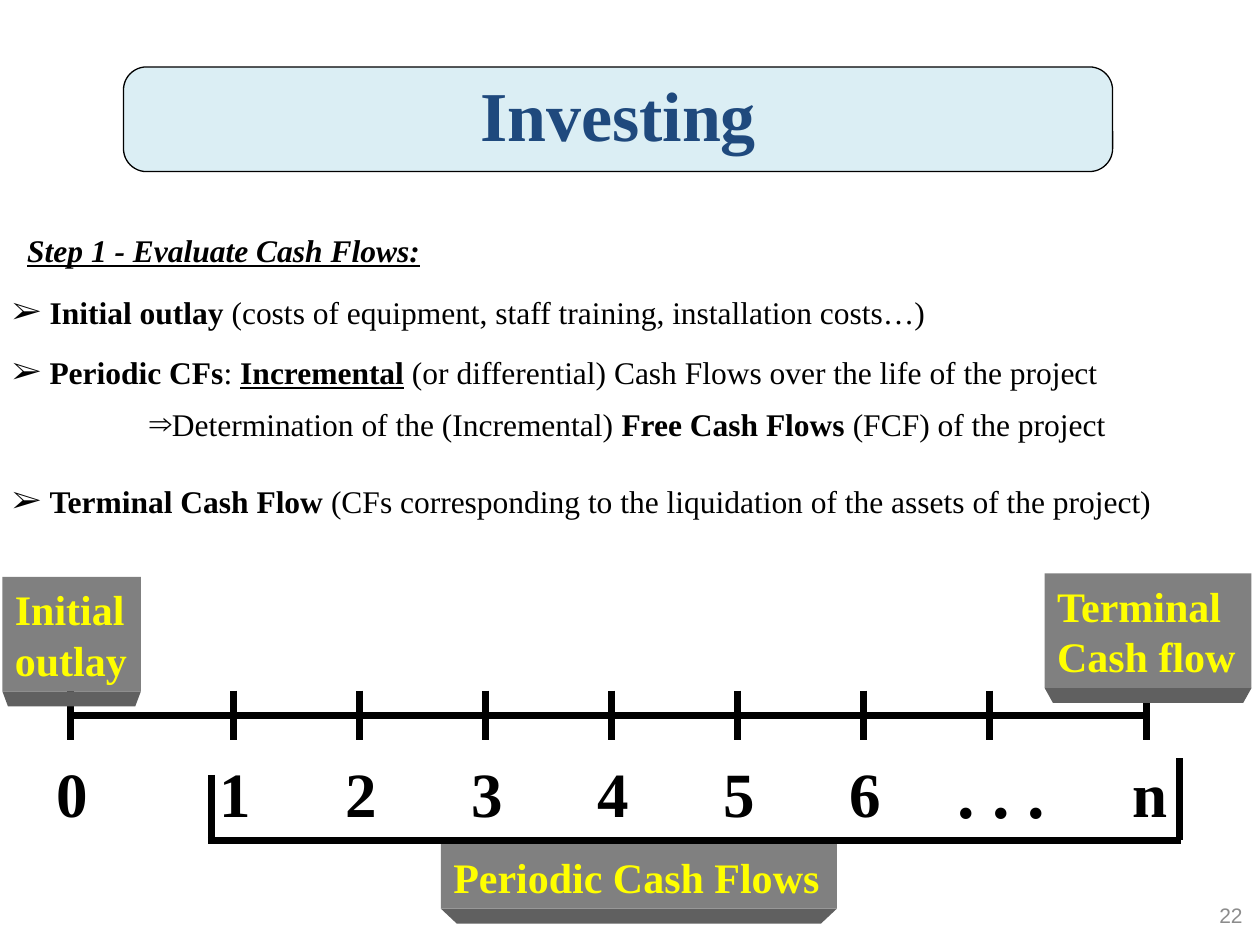
import pptx
import pptx.util
import pptx.dml.color
import pptx.enum.shapes
import pptx.enum.text
import pptx.oxml.ns
import lxml.etree

Cm = pptx.util.Cm
Pt = pptx.util.Pt
Shape = pptx.enum.shapes.MSO_SHAPE
Align = pptx.enum.text.PP_ALIGN
Anchor = pptx.enum.text.MSO_ANCHOR
SERIF = "Times New Roman"


def color(code):
    """Turn a hex string into a colour."""
    return pptx.dml.color.RGBColor.from_string(code)


def child(node, tag, **attrs):
    """Append a drawing element to a node."""
    return lxml.etree.SubElement(node, pptx.oxml.ns.qn(tag), **attrs)


def write(para, text, size, ink="000000", style="", font=SERIF):
    """Add one run; style holds the letters b, i and u."""
    run = para.add_run()
    run.text = text
    face = run.font
    face.name, face.size = font, Pt(size)
    face.color.rgb = color(ink)
    face.bold = "b" in style
    face.italic = "i" in style
    face.underline = "u" in style


def text_box(shapes, box, wrap=True, top=0.13):
    """Add an empty text box and return its frame."""
    frame = shapes.add_textbox(*map(Cm, box)).text_frame
    frame.word_wrap = wrap
    frame.margin_top = Cm(top)
    return frame


def paint(shape, fill, line=None):
    """Set the fill and outline of a shape."""
    shape.shadow.inherit = False
    shape.fill.solid()
    shape.fill.fore_color.rgb = color(fill)
    if line:
        shape.line.color.rgb = color(line)
        shape.line.width = Pt(0.75)
    else:
        shape.line.fill.background()


def stroke(shapes, *ends):
    """Draw a thick black line."""
    kind = pptx.enum.shapes.MSO_CONNECTOR.STRAIGHT
    line = shapes.add_connector(kind, *map(Cm, ends))
    line.line.color.rgb = color("000000")
    line.line.width = Pt(4)
    child(line._element.spPr, "a:effectLst")


def bullet(para, char, hang):
    """Give a paragraph a bullet and a hanging indent in cm."""
    props = para._p.get_or_add_pPr()
    props.set("marL", str(Cm(hang)))
    props.set("indent", str(-Cm(hang)))
    child(props, "a:buFont", typeface=SERIF)
    child(props, "a:buChar", char=char)


def title(slide, box):
    """Draw the rounded title banner."""
    shape = slide.shapes.add_shape(Shape.ROUNDED_RECTANGLE, *map(Cm, box))
    shape.adjustments[0] = 0.22
    paint(shape, "DBEEF4", "000000")
    frame = shape.text_frame
    frame.vertical_anchor = Anchor.MIDDLE
    para = frame.paragraphs[0]
    para.alignment, para.line_spacing = Align.CENTER, 0.9
    write(para, "Investing", 40, "1F497D", "b")


def heading(slide, box):
    """Write the step heading."""
    para = text_box(slide.shapes, box).paragraphs[0]
    write(para, "Step 1 - Evaluate Cash Flows:", 18, style="biu")


def points(slide, box):
    """Write the bulleted cash flow types."""
    rows = [
        ("➢", 0, [("Initial outlay ", "b"),
                  ("(costs of equipment, staff training, installation costs…)", "")]),
        ("➢", 13, [("Periodic CFs", "b"), (": ", ""), ("Incremental", "bu"),
                   (" (or differential) Cash Flows over the life of the project", "")]),
        ("⇒", 8, [("Determination of the (Incremental) ", ""),
                  ("Free Cash Flows ", "b"), ("(FCF) of the project", "")]),
        ("➢", 22.5, [("Terminal Cash Flow ", "b"),
                     ("(CFs corresponding to the liquidation of the assets of the project)", "")]),
    ]
    frame = text_box(slide.shapes, box)
    for index, (char, gap, runs) in enumerate(rows):
        para = frame.add_paragraph() if index else frame.paragraphs[0]
        para.space_before = Pt(gap)
        inner = char == "⇒"
        para.alignment = Align.CENTER if inner else Align.LEFT
        bullet(para, char, 0 if inner else 0.75)
        for text, style in runs:
            write(para, text, 18, style=style)


def axis(slide, box):
    """Draw the time axis with its ticks and period labels."""
    left, top, width, tick = box
    shapes = slide.shapes.add_group_shape().shapes
    mid = top + tick / 2
    stroke(shapes, left, mid, left + width, mid)
    labels = ["0", "1", "2", "3", "4", "5", "6", ". . .", "n"]
    spots = [left] + [left + 3.28 + 2.54 * i for i in range(7)] + [left + width]
    for label, x in zip(labels, spots):
        stroke(shapes, x, top, x, top + tick)
        dots = label == ". . ."
        wide = 2.29 if dots else 1.14
        spot = x + (0.25 if dots else 0.04)
        rise = 0.13 if dots else 0
        area = (spot - wide / 2, top + 0.99 - rise, wide, 1.5 + rise)
        para = text_box(shapes, area, False, 0.3).paragraphs[0]
        para.alignment = Align.CENTER
        write(para, label, 40 if dots else 36, style="b")


def block(slide, box, lines):
    """Draw a grey label block with a bevelled lower face."""
    left, top, width, height = box
    base, inset = top + height, width * 0.04
    pen = slide.shapes.build_freeform(Cm(left), Cm(base))
    pen.add_line_segments([
        (Cm(left + width), Cm(base)),
        (Cm(left + width - inset), Cm(base + 0.3)),
        (Cm(left + inset), Cm(base + 0.3)),
    ])
    paint(pen.convert_to_shape(), "606060")
    face = slide.shapes.add_shape(Shape.RECTANGLE, *map(Cm, box))
    paint(face, "808080")
    frame = face.text_frame
    frame.word_wrap = False
    frame.vertical_anchor = Anchor.MIDDLE
    for index, line in enumerate(lines):
        para = frame.add_paragraph() if index else frame.paragraphs[0]
        para.alignment = Align.LEFT
        write(para, line, 24, "FFFF00", "b")


def brace(slide, box):
    """Draw the open bracket below the periods."""
    left, top, width, height = box
    right, base = left + width, top + height
    stroke(slide.shapes, left, top + 0.33, left, base)
    stroke(slide.shapes, left - 0.08, base, right + 0.03, base)
    stroke(slide.shapes, right, base, right, top)


def number(slide, box):
    """Write the page number."""
    frame = text_box(slide.shapes, box)
    frame.vertical_anchor = Anchor.MIDDLE
    para = frame.paragraphs[0]
    para.alignment = Align.RIGHT
    write(para, "22", 12, "8C8C8C", font="Arial")


def main():
    """Build and save the slide."""
    deck = pptx.Presentation()
    deck.slide_width, deck.slide_height = Cm(25.4), Cm(19.05)
    slide = deck.slides.add_slide(deck.slide_layouts[6])
    number(slide, (19.38, 17.93, 5.92, 1.02))
    points(slide, (0, 5.77, 25.3, 4.78))
    axis(slide, (1.42, 13.92, 21.69, 0.99))
    block(slide, (21.06, 11.56, 4.17, 2.31), ["Terminal", "Cash flow"])
    block(slide, (8.89, 17.02, 7.98, 1.3), ["Periodic Cash Flows"])
    block(slide, (0.05, 11.63, 2.79, 2.31), ["Initial", "outlay"])
    brace(slide, (4.27, 15.29, 19.5, 1.65))
    heading(slide, (0.3, 4.52, 25.1, 1.02))
    title(slide, (2.49, 1.35, 19.94, 2.11))
    deck.save("out.pptx")


if __name__ == "__main__":
    main()
